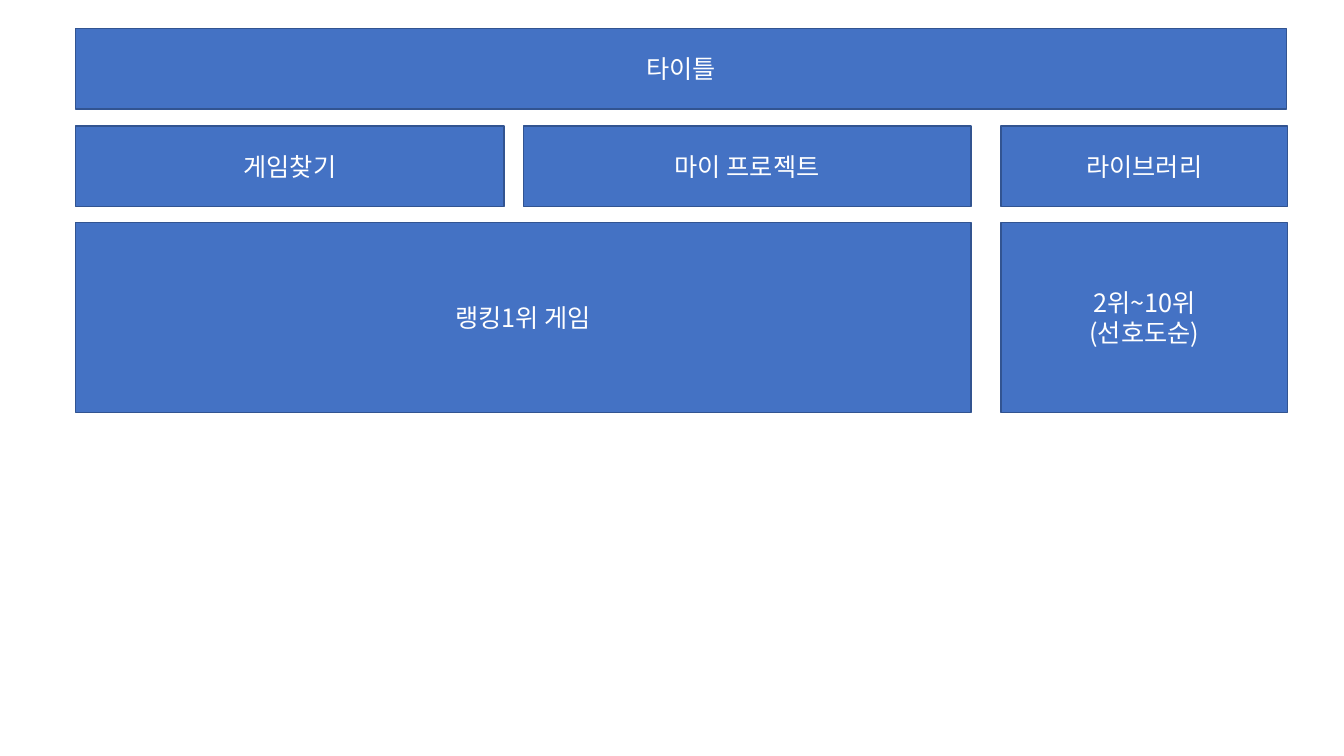
from typing import NamedTuple

from lxml.etree import SubElement
from pptx import Presentation
from pptx.dml.color import RGBColor
from pptx.enum.shapes import MSO_SHAPE
from pptx.enum.text import MSO_ANCHOR, MSO_AUTO_SIZE, PP_ALIGN
from pptx.oxml.ns import qn
from pptx.shapes.autoshape import Shape
from pptx.util import Inches, Pt

BLUE = RGBColor(0x44, 0x72, 0xC4)
DARK_BLUE = RGBColor(0x32, 0x54, 0x91)
WHITE = RGBColor(0xFF, 0xFF, 0xFF)
FONT = "Noto Sans CJK KR"

# Column edges and rows of the wireframe, in inches
LEFT, PROJECT_LEFT, MAIN_RIGHT = 0.75, 5.19, 9.63
SIDE_LEFT, SIDE_WIDTH = 9.93, 2.84
MAIN_WIDTH = MAIN_RIGHT - LEFT
BAR_HEIGHT, RANKING_HEIGHT = 0.8, 1.88
TITLE_TOP, MENU_TOP, RANKING_TOP = 0.28, 1.25, 2.21


class Panel(NamedTuple):
    text: str
    left: float
    top: float
    width: float
    height: float


TITLE = Panel("타이틀", LEFT, TITLE_TOP, 12.01, BAR_HEIGHT)
PANELS = [
    Panel("마이 프로젝트", PROJECT_LEFT, MENU_TOP, MAIN_RIGHT - PROJECT_LEFT, BAR_HEIGHT),
    Panel("게임찾기", LEFT, MENU_TOP, 4.25, BAR_HEIGHT),
    Panel("랭킹1위 게임", LEFT, RANKING_TOP, MAIN_WIDTH, RANKING_HEIGHT),
    Panel("라이브러리", SIDE_LEFT, MENU_TOP, SIDE_WIDTH, BAR_HEIGHT),
    Panel("2위~10위\n(선호도순)", SIDE_LEFT, RANKING_TOP, SIDE_WIDTH, RANKING_HEIGHT),
]


def format_panel(shape: Shape, panel: Panel) -> None:
    """Place a shape and give it the panel's text and look."""
    shape.left, shape.top = Inches(panel.left), Inches(panel.top)
    shape.width, shape.height = Inches(panel.width), Inches(panel.height)
    shape.fill.solid()
    shape.fill.fore_color.rgb = BLUE
    shape.line.color.rgb = DARK_BLUE
    shape.line.width = Pt(1)

    frame = shape.text_frame
    frame.text = panel.text
    frame.word_wrap = True
    frame.auto_size = MSO_AUTO_SIZE.NONE
    frame.vertical_anchor = MSO_ANCHOR.MIDDLE
    for paragraph in frame.paragraphs:
        paragraph.alignment = PP_ALIGN.CENTER
        paragraph.line_spacing = 1.0
        paragraph.space_before = Pt(0)
        for run in paragraph.runs:
            run.font.size = Pt(18)
            run.font.color.rgb = WHITE
            run.font.name = FONT
            # Hangul takes the East Asian typeface
            SubElement(run.font._element, qn("a:ea"), typeface=FONT)


presentation = Presentation()
presentation.slide_width = Inches(13.33)
presentation.slide_height = Inches(7.5)
slide = presentation.slides.add_slide(presentation.slide_layouts.get_by_name("Title Only"))

# Title bar
format_panel(slide.shapes.title, TITLE)

# Menu and ranking panels
for panel in PANELS:
    box = slide.shapes.add_shape(MSO_SHAPE.RECTANGLE, 0, 0, 0, 0)
    box.shadow.inherit = False
    format_panel(box, panel)

presentation.save("out.pptx")
